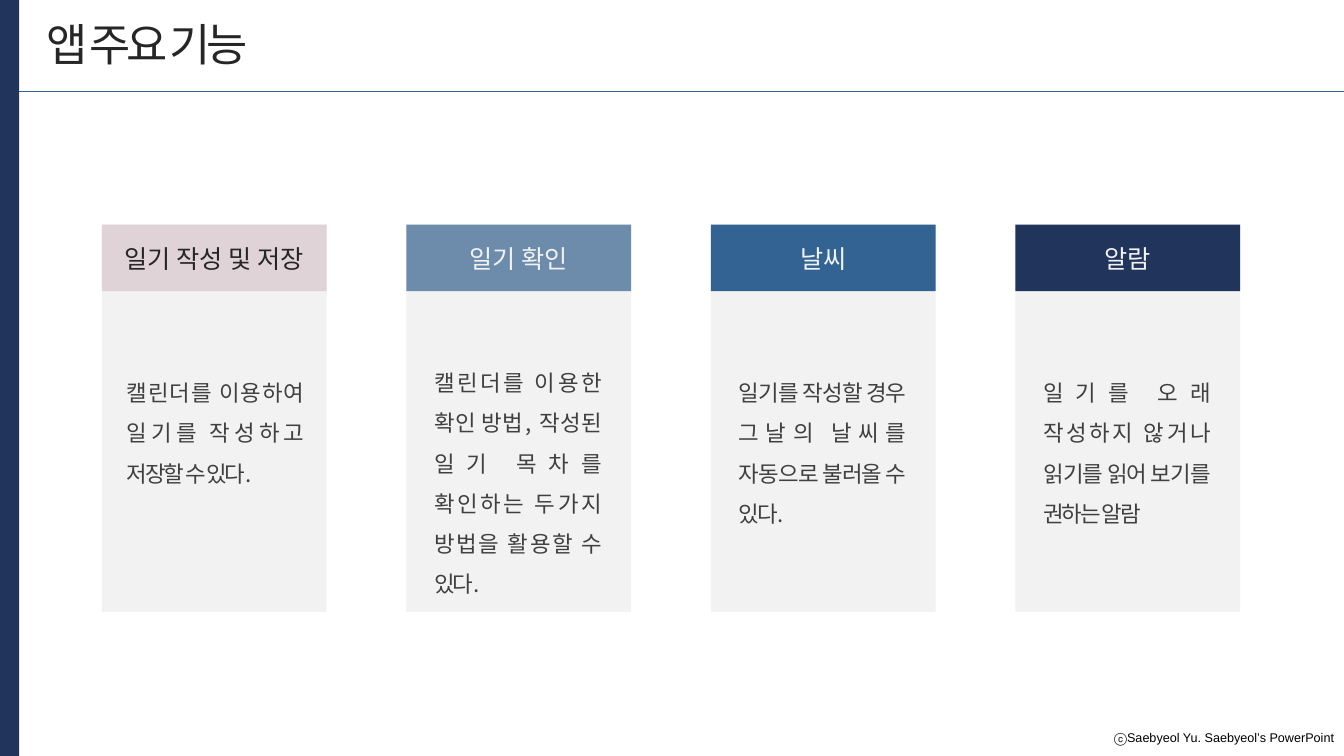
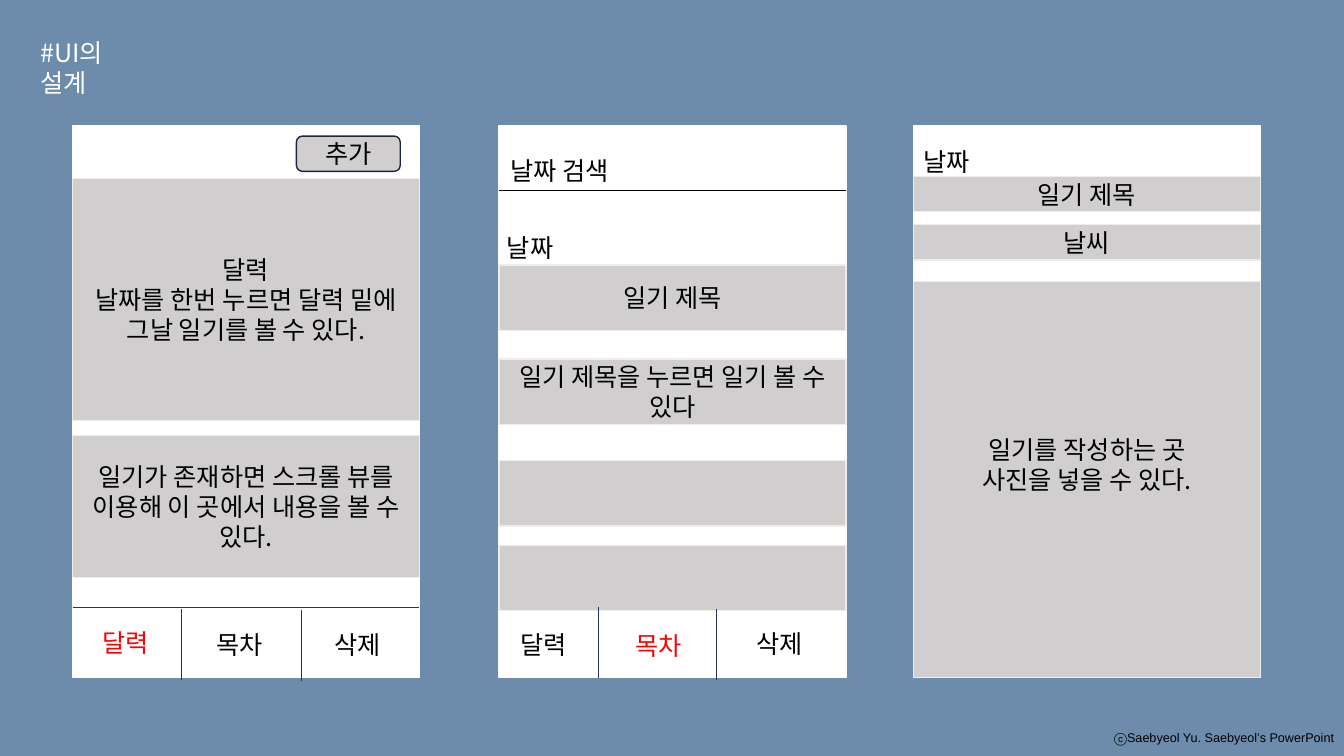
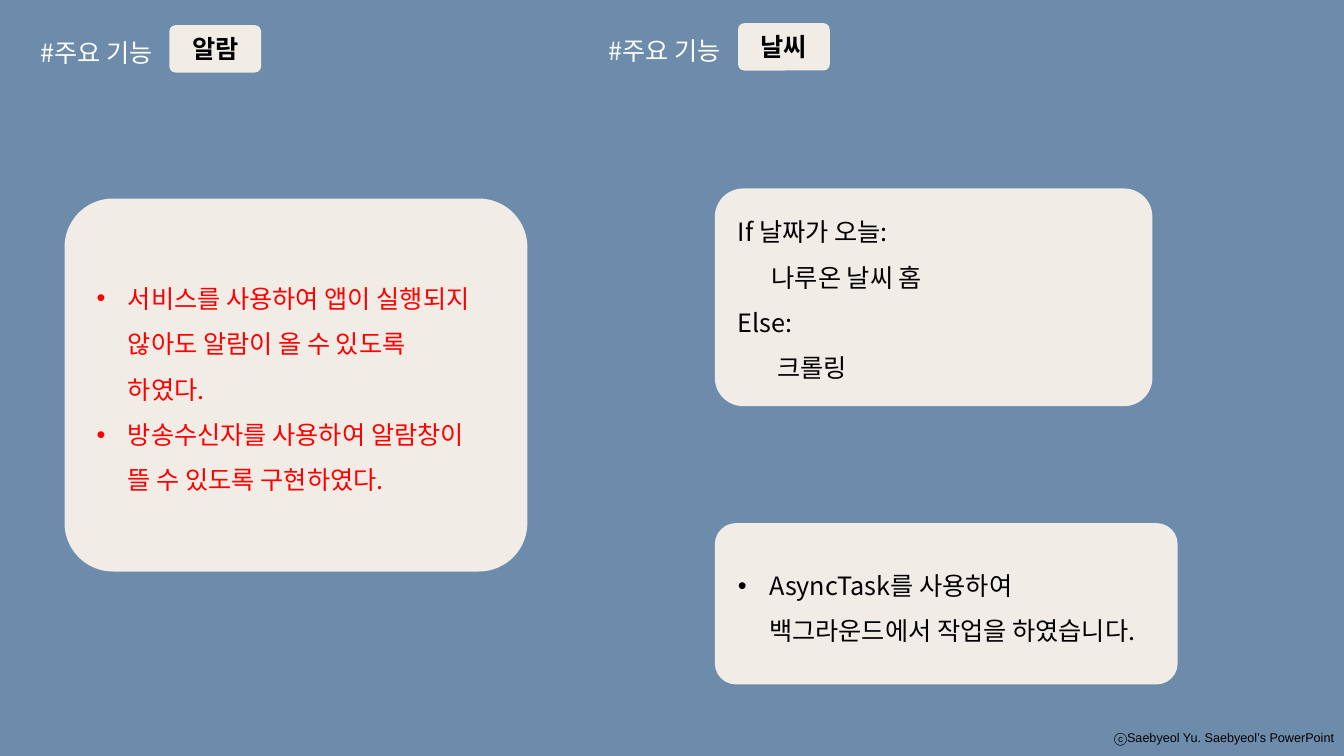
from dataclasses import dataclass

from lxml import etree
from pptx import Presentation
from pptx.dml.color import RGBColor
from pptx.enum.shapes import MSO_CONNECTOR, MSO_SHAPE
from pptx.enum.text import MSO_ANCHOR, MSO_AUTO_SIZE, PP_ALIGN
from pptx.oxml.ns import qn
from pptx.util import Inches, Pt

RECT, ROUND = MSO_SHAPE.RECTANGLE, MSO_SHAPE.ROUNDED_RECTANGLE
STRAIGHT = MSO_CONNECTOR.STRAIGHT
LEFT, CENTER, RIGHT, JUSTIFY = PP_ALIGN.LEFT, PP_ALIGN.CENTER, PP_ALIGN.RIGHT, PP_ALIGN.JUSTIFY
TOP, MIDDLE = MSO_ANCHOR.TOP, MSO_ANCHOR.MIDDLE

FONT = "Noto Sans CJK KR"
C = {
    "navy": "21345C", "blue": "326393", "steel": "6D8CAC", "rose": "DFD3D7",
    "cream": "F1ECE6", "pale": "F2F2F2", "gray": "D0CECE", "edge": "182644",
    "white": "FFFFFF", "black": "000000", "ink": "262626", "body": "404040",
    "red": "FF0000",
}
TITLE_ONLY = 5
TITLE_LEFT = 0.3
CORNER = 0.13
CARD_TOP, CARD_W, CARD_H, HEAD_H = 2.23, 2.23, 3.84, 0.66
CARD_LEFT, CARD_STEP = 1.01, 3.02
PHONE_TOP, PHONE_W, PHONE_H = 1.25, 3.44, 5.47
PHONES = (0.72, 4.95, 9.06)


@dataclass
class Card:
    head: str
    fill: str
    color: str
    body: str
    inset: float = 0.18
    top: float = 3.58
    width: float = 1.84


@dataclass
class Panel:
    phone: int
    top: float
    height: float
    text: str = ""
    raised: float = 0


@dataclass
class Label:
    left: float
    top: float
    text: str
    color: str = "black"
    width: float = 0.82


CARDS = [
    Card("일기 작성 및 저장", "rose", "ink",
         "캘린더를 이용하여 일기를 작성하고 저장할 수 있다.", inset=0.15, width=1.94),
    Card("일기 확인", "steel", "pale",
         "캘린더를 이용한 확인 방법, 작성된 일기 목차를 확인하는 두가지 방법을 활용할 수 있다.",
         top=3.48),
    Card("날씨", "blue", "pale",
         "일기를 작성할 경우 그날의 날씨를 자동으로 불러올 수 있다."),
    Card("알람", "navy", "pale",
         "일기를 오래 작성하지 않거나 읽기를 읽어 보기를 권하는 알람"),
]
PANELS = [
    Panel(0, 1.77, 2.4, "달력\n날짜를 한번 누르면 달력 밑에 그날 일기를 볼 수 있다."),
    Panel(0, 4.32, 1.41, "일기가 존재하면 스크롤 뷰를 이용해 이 곳에서 내용을 볼 수 있다."),
    Panel(1, 2.63, 0.65, "일기 제목"),
    Panel(1, 3.56, 0.65, "일기 제목을 누르면 일기 볼 수 있다"),
    Panel(1, 4.57, 0.65),
    Panel(1, 5.41, 0.65),
    Panel(2, 1.75, 0.35, "일기 제목"),
    Panel(2, 2.23, 0.35, "날씨"),
    Panel(2, 2.79, 3.93, "일기를 작성하는 곳\n사진을 넣을 수 있다.", raised=0.3),
]
LABELS = [
    Label(0.92, 6.17, "달력", "red"), Label(2.05, 6.19, "목차"), Label(3.22, 6.19, "삭제"),
    Label(5.06, 6.19, "달력"), Label(6.2, 6.2, "목차", "red"), Label(7.4, 6.18, "삭제"),
    Label(4.96, 1.49, "날짜 검색", width=2.18), Label(4.93, 2.26, "날짜"),
    Label(9.06, 1.4, "날짜"),
]
DIVIDERS = [(1.8, 6.04), (2.99, 6.05), (5.93, 6.02), (7.11, 6.04)]


def rgb(name: str) -> RGBColor:
    return RGBColor.from_string(C[name])


def write(tf, text: str, *, size=18, color="black", font=FONT, bold=False, align=LEFT,
          anchor=TOP, wrap=True, spacing=None, track=0, bullet=False) -> None:
    """Fill a text frame, one paragraph per line; track is letter spacing in points."""
    tf.word_wrap = wrap
    tf.auto_size = MSO_AUTO_SIZE.NONE
    tf.vertical_anchor = anchor
    for i, line in enumerate(text.split("\n")):
        p = tf.paragraphs[0] if i == 0 else tf.add_paragraph()
        if bullet:
            pPr = p._p.get_or_add_pPr()
            pPr.set("marL", str(Inches(0.31)))
            pPr.set("indent", str(-Inches(0.31)))
            etree.SubElement(pPr, qn("a:buFont")).set("typeface", "Arial")
            etree.SubElement(pPr, qn("a:buChar")).set("char", "•")
        p.alignment = align
        if spacing:
            p.line_spacing = spacing
        r = p.add_run()
        r.text = line
        r.font.name, r.font.size, r.font.bold = font, Pt(size), bold
        r.font.color.rgb = rgb(color)
        rPr = r._r.get_or_add_rPr()
        ea = etree.Element(qn("a:ea"))
        ea.set("typeface", font)
        rPr.find(qn("a:latin")).addnext(ea)
        if track:
            rPr.set("spc", str(int(track * 100)))


def add_box(s, left: float, top: float, width: float, height: float, fill: str, *,
            kind=RECT, line=None, text="", **fmt):
    sp = s.shapes.add_shape(kind, Inches(left), Inches(top), Inches(width), Inches(height))
    sp.shadow.inherit = False
    sp.fill.solid()
    sp.fill.fore_color.rgb = rgb(fill)
    if line:
        sp.line.color.rgb = rgb(line)
        sp.line.width = Pt(1)
    else:
        sp.line.fill.background()
    if text:
        write(sp.text_frame, text, align=CENTER, anchor=MIDDLE, **fmt)
    return sp


def add_bubble(s, left: float, top: float, width: float, height: float, **fmt) -> None:
    sp = add_box(s, left, top, width, height, "cream", kind=ROUND, **fmt)
    sp.adjustments[0] = CORNER


def add_text(s, left: float, top: float, width: float, height: float, text: str, **fmt) -> None:
    sp = s.shapes.add_textbox(Inches(left), Inches(top), Inches(width), Inches(height))
    write(sp.text_frame, text, **fmt)


def add_line(s, x1: float, y1: float, x2: float, y2: float, color: str) -> None:
    ln = s.shapes.add_connector(STRAIGHT, Inches(x1), Inches(y1), Inches(x2), Inches(y2))
    ln.line.color.rgb = rgb(color)
    ln.line.width = Pt(0.5)
    etree.SubElement(ln._element.spPr, qn("a:effectLst"))


def new_slide(prs, bg: str, title: str, left: float, top: float, width: float,
              height: float, **fmt):
    """Add a slide with its background, title and shared footer."""
    s = prs.slides.add_slide(prs.slide_layouts[TITLE_ONLY])
    s.background.fill.solid()
    s.background.fill.fore_color.rgb = rgb(bg)
    sp = s.shapes.title
    sp.left, sp.top = Inches(left), Inches(top)
    sp.width, sp.height = Inches(width), Inches(height)
    write(sp.text_frame, title, **fmt)
    add_text(s, 10.93, 7.19, 2.4, 0.25, "ⓒSaebyeol Yu. Saebyeol’s PowerPoint",
             size=9, font="Arial", align=RIGHT, wrap=False)
    return s


def build_features(prs) -> None:
    s = new_slide(prs, "white", "앱 주요 기능", 0.36, 0.12, 2.42, 0.63,
                  size=32, color="ink", track=-3, wrap=False)
    add_line(s, 0.19, 0.91, 13.33, 0.91, "blue")
    add_box(s, 0, 0, 0.19, 7.5, "navy")
    for i, card in enumerate(CARDS):
        left = CARD_LEFT + i * CARD_STEP
        add_box(s, left, CARD_TOP, CARD_W, CARD_H, "pale")
        add_box(s, left, CARD_TOP, CARD_W, HEAD_H, card.fill, text=card.head, color=card.color)
        add_text(s, left + card.inset, card.top, card.width, 1.7, card.body, size=16,
                 color="body", align=JUSTIFY, spacing=1.5, track=-1.5)


def build_screens(prs) -> None:
    s = new_slide(prs, "steel", "#UI의 설계", TITLE_LEFT, 0.32, 1.3, 0.7, color="white")
    for left in PHONES:
        add_box(s, left, PHONE_TOP, PHONE_W, PHONE_H, "white", line="white")
    for panel in PANELS:
        sp = add_box(s, PHONES[panel.phone], panel.top, PHONE_W, panel.height, "gray",
                     line="cream", text=panel.text)
        sp.text_frame.margin_bottom = Inches(0.05 + panel.raised)
    add_button = add_box(s, 2.94, 1.35, 1.03, 0.35, "gray", kind=ROUND, line="edge", text="추가")
    add_button.adjustments[0] = 0.17
    add_line(s, PHONES[0], 6.03, PHONES[0] + PHONE_W, 6.03, "navy")
    add_line(s, PHONES[1], 1.89, PHONES[1] + PHONE_W, 1.89, "black")
    for x, y in DIVIDERS:
        add_line(s, x, y, x, y + 0.71, "navy")
    for label in LABELS:
        add_text(s, label.left, label.top, label.width, 0.4, label.text, color=label.color)


def build_alarm_weather(prs) -> None:
    heading = "#주요 기능"
    s = new_slide(prs, "steel", heading, TITLE_LEFT, 0.32, 1.47, 0.4, color="white", wrap=False)
    add_text(s, 5.94, 0.3, 1.47, 0.4, heading, color="white", wrap=False)
    for left, top, name in ((1.68, 0.25, "알람"), (7.32, 0.23, "날씨")):
        add_bubble(s, left, top, 0.91, 0.47, text=name, bold=True)
    add_bubble(s, 0.64, 1.97, 4.59, 3.7)
    add_text(s, 0.86, 2.61, 3.96, 2.33,
             "서비스를 사용하여 앱이 실행되지 않아도 알람이 올 수 있도록 하였다.\n"
             "방송수신자를 사용하여 알람창이 뜰 수 있도록 구현하였다.",
             color="red", spacing=1.5, bullet=True)
    add_bubble(s, 7.09, 1.87, 4.34, 2.16)
    add_text(s, 7.22, 1.95, 4.34, 1.87,
             "If 날짜가 오늘:\n      나루온 날씨 홈\nElse:\n       크롤링", spacing=1.5)
    add_bubble(s, 7.09, 5.19, 4.59, 1.6)
    add_text(s, 7.22, 5.46, 4.34, 0.96,
             "AsyncTask를 사용하여 백그라운드에서 작업을 하였습니다.", spacing=1.5, bullet=True)


def main() -> None:
    prs = Presentation()
    prs.slide_width, prs.slide_height = Inches(13.33), Inches(7.5)
    build_features(prs)
    build_screens(prs)
    build_alarm_weather(prs)
    prs.save("out.pptx")


if __name__ == "__main__":
    main()
